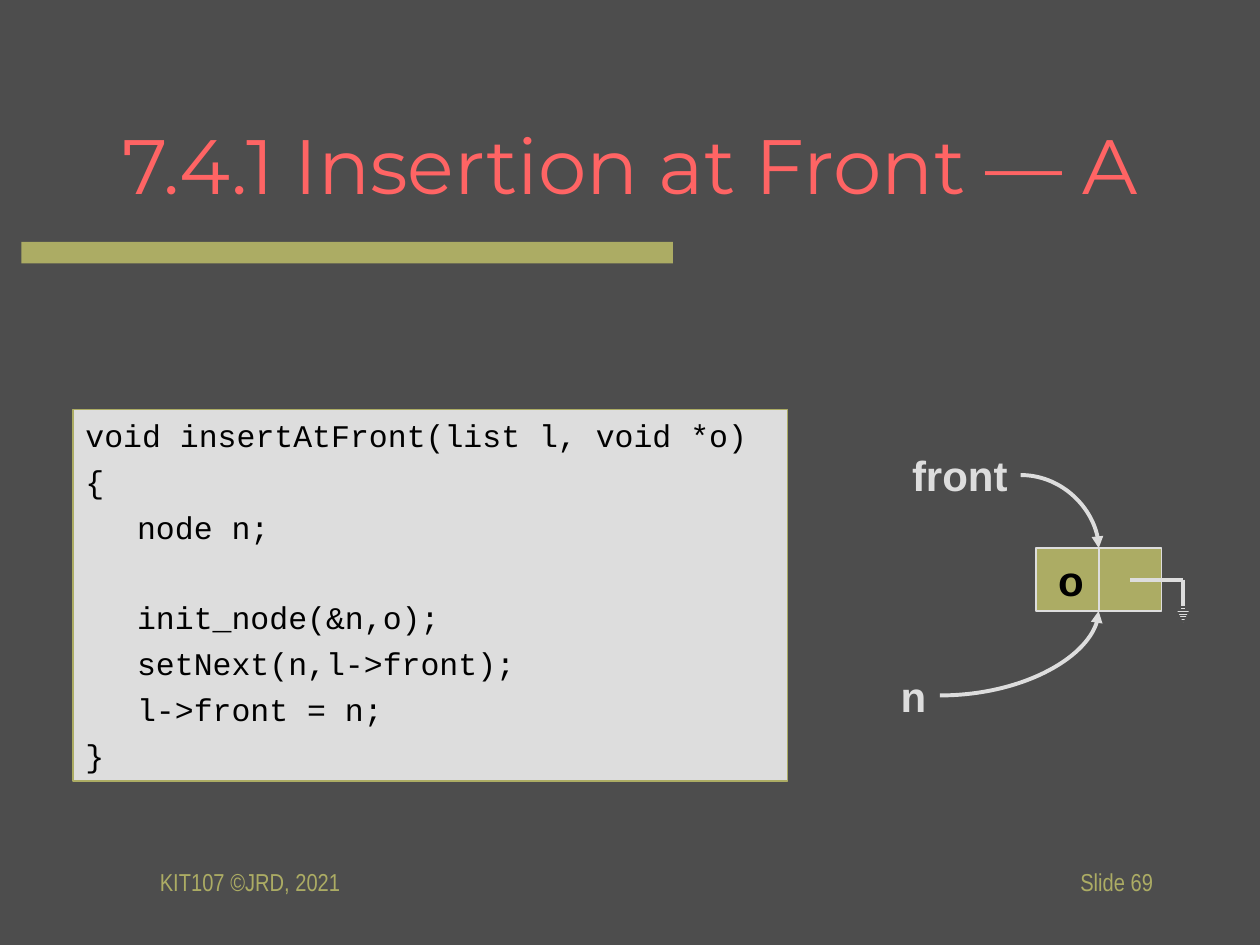
from lxml import etree
from pptx import Presentation
from pptx import util as u
from pptx.dml.color import RGBColor
from pptx.enum import shapes, text
from pptx.oxml.ns import qn

COLORS = {
    "page": "4D4D4D",
    "olive": "ACAC64",
    "title": "FF6464",
    "light": "DDDDDD",
    "black": "000000",
}
# Each code line: text, indent in inches, space before in points
CODE = [
    ("void insertAtFront(list l, void *o)", 0, 4.7),
    ("{", 0, 4.7),
    ("node n;", 0.41, 4.7),
    ("init_node(&n,o);", 0.41, 29.8),
    ("setNext(n,l->front);", 0.41, 4.7),
    ("l->front = n;", 0.41, 4.7),
    ("}", 0, 4.7),
]
LEFT, CENTER, RIGHT = text.PP_ALIGN.LEFT, text.PP_ALIGN.CENTER, text.PP_ALIGN.RIGHT
TOP, MIDDLE = text.MSO_ANCHOR.TOP, text.MSO_ANCHOR.MIDDLE


def rgb(name):
    return RGBColor.from_string(COLORS[name])


def inches(*values):
    return [u.Inches(value) for value in values]


def add_span(para, words, font, size, color, bold=False):
    span = para.add_run()
    span.text = words
    span.font.name = font
    span.font.size = u.Pt(size)
    span.font.bold = bold
    span.font.color.rgb = rgb(color)


def add_label(page, at, words, font, size, color, bold=False,
              align=LEFT, anchor=TOP, wrap=False):
    frame = page.shapes.add_textbox(*inches(*at)).text_frame
    frame.word_wrap = wrap
    frame.vertical_anchor = anchor
    para = frame.paragraphs[0]
    para.alignment = align
    add_span(para, words, font, size, color, bold)


def add_box(page, at, fill, line=None):
    box = page.shapes.add_shape(shapes.MSO_SHAPE.RECTANGLE, *inches(*at))
    box.shadow.inherit = False
    box.fill.solid()
    box.fill.fore_color.rgb = rgb(fill)
    if line:
        box.line.color.rgb = rgb(line)
        box.line.width = u.Pt(1)
    else:
        box.line.fill.background()
    return box


def add_line(page, start, end, color="light", width=1, arrow=False, curved=False):
    """Draw a straight line, or a quarter curve leaving horizontally."""
    kind = shapes.MSO_CONNECTOR.CURVE if curved else shapes.MSO_CONNECTOR.STRAIGHT
    line = page.shapes.add_connector(kind, *inches(*start, *end))
    line.line.color.rgb = rgb(color)
    line.line.width = u.Pt(width)
    properties = line._element.spPr
    if curved:
        properties.find(qn("a:prstGeom")).set("prst", "curvedConnector2")
    if arrow:
        tail = etree.SubElement(properties.find(qn("a:ln")), qn("a:tailEnd"))
        tail.set("type", "triangle")
    etree.SubElement(properties, qn("a:effectLst"))


def add_code(page):
    box = add_box(page, (0.58, 3.25, 5.67, 2.95), "light", "olive")
    frame = box.text_frame
    frame.word_wrap = False
    frame.vertical_anchor = TOP
    for number, (words, indent, before) in enumerate(CODE):
        para = frame.add_paragraph() if number else frame.paragraphs[0]
        para.alignment = LEFT
        para.space_before = u.Pt(before)
        para._p.get_or_add_pPr().set("marL", str(u.Inches(indent)))
        add_span(para, words, "Courier New", 18, "black")


def add_ground(page):
    """End the null link in an arrowhead cut into stripes."""
    add_line(page, (8.97, 4.6), (9.39, 4.6), width=2.25)
    add_line(page, (9.39, 4.6), (9.39, 4.94), width=2.25, arrow=True)
    for number in range(7):
        y = 4.82 + number * 0.13 / 6
        add_line(page, (9.26, y), (9.51, y), "page")


def add_list_diagram(page):
    add_label(page, (7.14, 3.52, 0.96, 0.5), "front", "Arial", 24, "light", True)
    add_line(page, (8.1, 3.77), (8.72, 4.35), width=2.25, arrow=True, curved=True)
    add_box(page, (8.22, 4.35, 1, 0.5), "olive", "light")
    add_line(page, (8.72, 4.35), (8.72, 4.85))
    add_ground(page)
    add_label(page, (8.3, 4.35, 0.4, 0.5), "o", "Arial", 24, "black", True)
    add_label(page, (7.05, 5.27, 0.4, 0.5), "n", "Arial", 24, "light", True)
    add_line(page, (7.46, 5.52), (8.72, 4.85), width=2.25, arrow=True, curved=True)


def main():
    deck = Presentation()
    deck.slide_width, deck.slide_height = inches(10, 7.5)
    page = deck.slides.add_slide(deck.slide_layouts[6])
    page.background.fill.solid()
    page.background.fill.fore_color.rgb = rgb("page")

    add_box(page, (0.17, 1.92, 5.17, 0.17), "olive")
    add_label(page, (0.17, 0.67, 9.67, 1.25), "7.4.1 Insertion at Front — A",
              "Montserrat", 44, "title", align=CENTER, anchor=MIDDLE, wrap=True)
    add_code(page)
    add_list_diagram(page)
    for left, words, align in ((1.17, "KIT107 ©JRD, 2021", LEFT),
                               (7.17, "Slide 69", RIGHT)):
        add_label(page, (left, 6.75, 2.08, 0.5), words, "Arial Narrow", 14,
                  "olive", align=align, anchor=MIDDLE)
    deck.save("out.pptx")


if __name__ == "__main__":
    main()
